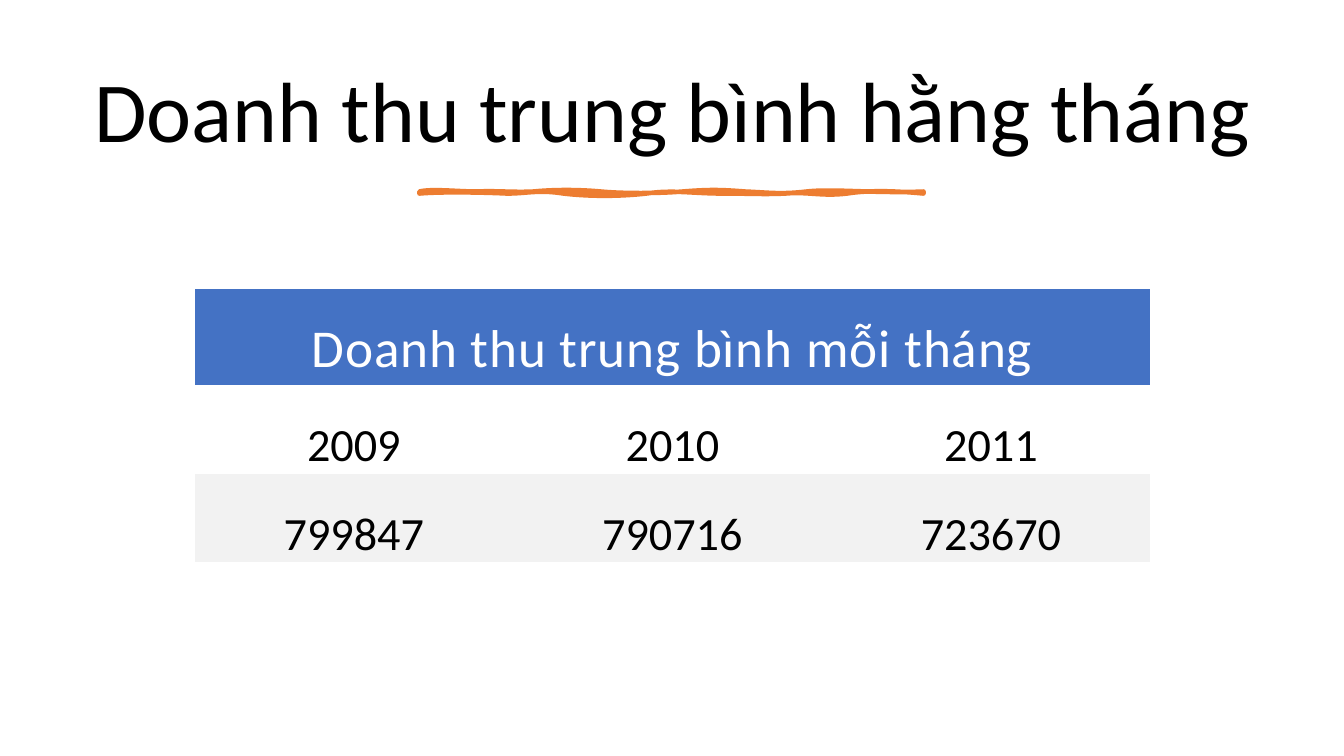
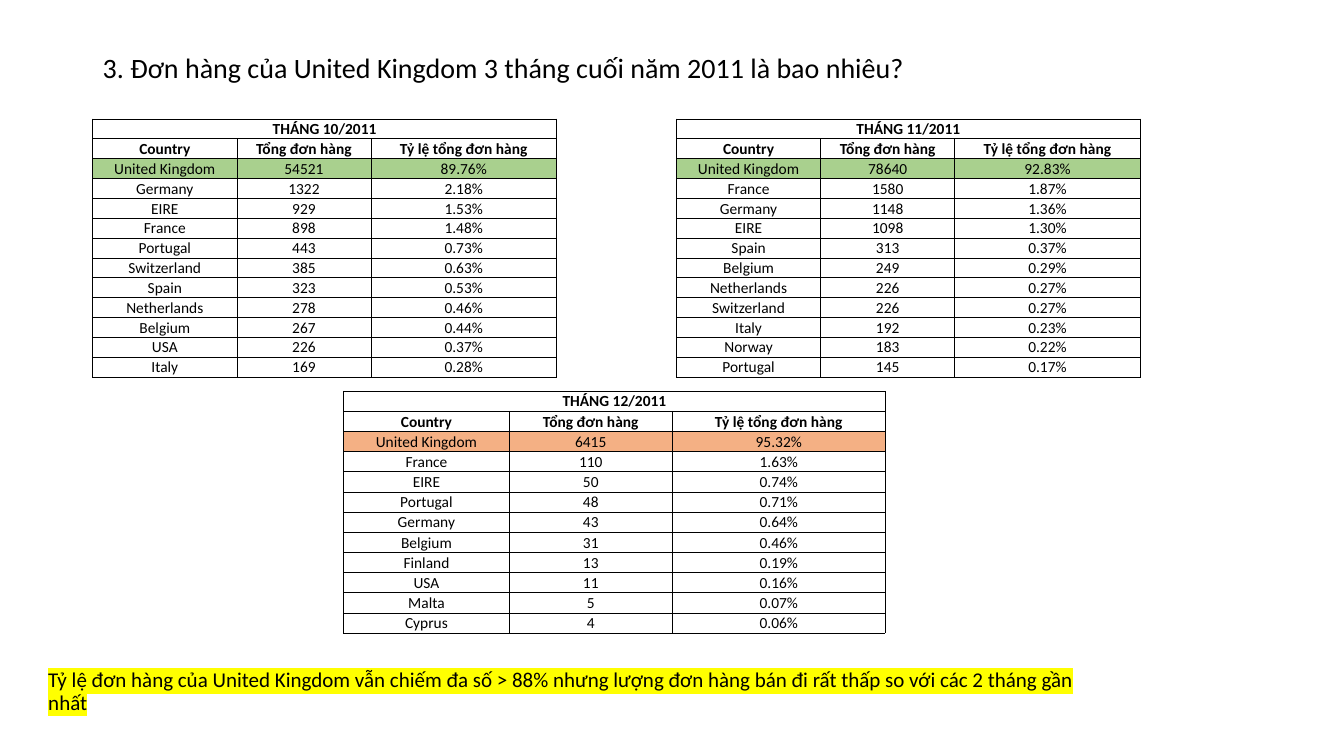
from lxml.etree import SubElement
from pptx import Presentation
from pptx.dml.color import RGBColor
from pptx.enum.text import MSO_ANCHOR, PP_ALIGN
from pptx.oxml.ns import qn
from pptx.util import Inches, Pt

FONT = "Calibri"
BLACK, WHITE, BLUE, ORANGE = "000000", "FFFFFF", "4472C4", "ED7D31"
GRAY, GREEN, PEACH, YELLOW = "F2F2F2", "A9D08E", "F4B084", "FFFF00"
PLAIN_TABLE = "{2D5ABB26-0587-4C30-8999-92F81FD0307C}"


def color(value):
    return RGBColor.from_string(value)


def write(frame, text, size, ink=BLACK, bold=False, align=PP_ALIGN.CENTER):
    frame.text = text
    para = frame.paragraphs[0]
    para.alignment = align
    span = para.runs[0]
    span.font.name = FONT
    span.font.size = Pt(size)
    span.font.bold = bold
    span.font.color.rgb = color(ink)
    return span


deck = Presentation()
deck.slide_width, deck.slide_height = Inches(13.33), Inches(7.5)
revenue_page, orders_page = [deck.slides.add_slide(deck.slide_layouts[6]) for _ in range(2)]

# Titles and closing remark
texts = [
    (revenue_page, (0.7, 0.45, 11.93, 1.37), "Doanh thu trung bình hằng tháng",
     61, PP_ALIGN.CENTER, None),
    (orders_page, (0.92, 0.4, 10.59, 0.58),
     "3. Đơn hàng của United Kingdom 3 tháng cuối năm 2011 là bao nhiêu?",
     20, PP_ALIGN.LEFT, None),
    (orders_page, (0.38, 6.58, 10.59, 0.58),
     "Tỷ lệ đơn hàng của United Kingdom vẫn chiếm đa số > 88% nhưng lượng đơn hàng "
     "bán đi rất thấp so với các 2 tháng gần nhất",
     15, PP_ALIGN.LEFT, YELLOW),
]
for page, place, text, size, align, marker in texts:
    box = page.shapes.add_textbox(*map(Inches, place))
    frame = box.text_frame
    frame.word_wrap = True
    frame.vertical_anchor = MSO_ANCHOR.MIDDLE
    span = write(frame, text, size, align=align)
    frame.paragraphs[0].line_spacing = 0.9
    if marker:
        properties = span.font._element
        highlight = SubElement(properties, qn("a:highlight"))
        SubElement(highlight, qn("a:srgbClr"), val=marker)
        properties.find(qn("a:solidFill")).addnext(highlight)

# Brush stroke under the revenue title: Bezier curves as (control, control, end)
stroke_left, stroke_top = 4.16, 1.9
stroke_curves = [
    ((4.28, 1.87), (4.54, 1.9), (4.73, 1.9)),
    ((4.92, 1.89), (5.09, 1.91), (5.29, 1.9)),
    ((5.49, 1.88), (5.74, 1.88), (5.96, 1.9)),
    ((6.17, 1.92), (6.53, 1.92), (6.77, 1.9)),
    ((7.02, 1.88), (7.14, 1.88), (7.39, 1.9)),
    ((7.63, 1.91), (7.74, 1.93), (8, 1.9)),
    ((8.26, 1.87), (8.67, 1.92), (9.16, 1.9)),
    ((9.17, 1.91), (9.16, 1.91), (9.16, 1.92)),
    ((8.95, 1.9), (8.65, 1.88), (8.4, 1.92)),
    ((8.15, 1.95), (8.01, 1.9), (7.79, 1.92)),
    ((7.56, 1.93), (7.47, 1.92), (7.17, 1.92)),
    ((6.87, 1.92), (6.67, 1.88), (6.41, 1.92)),
    ((6.14, 1.95), (5.85, 1.95), (5.59, 1.92)),
    ((5.34, 1.88), (5.23, 1.92), (5.03, 1.92)),
    ((4.83, 1.91), (4.38, 1.9), (4.16, 1.92)),
    ((4.16, 1.91), (4.16, 1.9), (4.16, 1.9)),
]
builder = revenue_page.shapes.build_freeform(Inches(stroke_left), Inches(stroke_top))
builder.add_line_segments([(Inches(x), Inches(y)) for _, _, (x, y) in stroke_curves])
stroke = builder.convert_to_shape()
segments = list(stroke._element.iter(qn("a:lnTo")))
for segment, curve in zip(segments, stroke_curves):
    segment.tag = qn("a:cubicBezTo")
    segment.clear()
    for x, y in curve:
        SubElement(segment, qn("a:pt"), x=str(Inches(x) - Inches(stroke_left)),
                   y=str(Inches(y) - Inches(stroke_top)))
stroke.shadow.inherit = False
stroke.fill.solid()
stroke.fill.fore_color.rgb = color(ORANGE)
stroke.line.color.rgb = color(ORANGE)
stroke.line.width = Pt(3.25)

# Table contents
revenue = [("2009", "2010", "2011"), ("799847", "790716", "723670")]
heads = ("Country", "Tổng đơn hàng", "Tỷ lệ tổng đơn hàng")
october = [
    ("United Kingdom", "54521", "89.76%"),
    ("Germany", "1322", "2.18%"),
    ("EIRE", "929", "1.53%"),
    ("France", "898", "1.48%"),
    ("Portugal", "443", "0.73%"),
    ("Switzerland", "385", "0.63%"),
    ("Spain", "323", "0.53%"),
    ("Netherlands", "278", "0.46%"),
    ("Belgium", "267", "0.44%"),
    ("USA", "226", "0.37%"),
    ("Italy", "169", "0.28%"),
]
november = [
    ("United Kingdom", "78640", "92.83%"),
    ("France", "1580", "1.87%"),
    ("Germany", "1148", "1.36%"),
    ("EIRE", "1098", "1.30%"),
    ("Spain", "313", "0.37%"),
    ("Belgium", "249", "0.29%"),
    ("Netherlands", "226", "0.27%"),
    ("Switzerland", "226", "0.27%"),
    ("Italy", "192", "0.23%"),
    ("Norway", "183", "0.22%"),
    ("Portugal", "145", "0.17%"),
]
december = [
    ("United Kingdom", "6415", "95.32%"),
    ("France", "110", "1.63%"),
    ("EIRE", "50", "0.74%"),
    ("Portugal", "48", "0.71%"),
    ("Germany", "43", "0.64%"),
    ("Belgium", "31", "0.46%"),
    ("Finland", "13", "0.19%"),
    ("USA", "11", "0.16%"),
    ("Malta", "5", "0.07%"),
    ("Cyprus", "4", "0.06%"),
]

# Tables: page, left, top, column widths, row height, caption, rows, fill by row
month_columns = (1.43, 1.33, 1.84)
month_row = 2.56 / 13
tables = [
    (revenue_page, 1.93, 2.87, (3.16,) * 3, 0.88, "Doanh thu trung bình mỗi tháng",
     revenue, {0: BLUE, 2: GRAY}),
    (orders_page, 0.92, 1.18, month_columns, month_row, "THÁNG 10/2011",
     [heads] + october, {2: GREEN}),
    (orders_page, 6.71, 1.18, month_columns, month_row, "THÁNG 11/2011",
     [heads] + november, {2: GREEN}),
    (orders_page, 3.41, 3.88, (1.64, 1.62, 2.11), 0.2, "THÁNG 12/2011",
     [heads] + december, {2: PEACH}),
]
for page, left, top, widths, height, caption, rows, fills in tables:
    is_revenue = page is revenue_page
    grid = [(caption, "", "")] + rows
    table = page.shapes.add_table(len(grid), len(widths), Inches(left), Inches(top),
                                  Inches(sum(widths)), Inches(height * len(grid))).table
    table.first_row = table.horz_banding = False
    table._tbl.tblPr.find(qn("a:tableStyleId")).text = PLAIN_TABLE
    for column, width in zip(table.columns, widths):
        column.width = Inches(width)
    for row in table.rows:
        row.height = Inches(height)
    if is_revenue:
        table.rows[0].height = Inches(0.95)
    table.cell(0, 0).merge(table.cell(0, len(widths) - 1))

    for r, values in enumerate(grid):
        for c, value in enumerate(values):
            cell = table.cell(r, c)
            side, above = (0.02, 0.24) if is_revenue else (0.01, 0.01)
            cell.margin_left = cell.margin_right = Inches(side)
            cell.margin_top, cell.margin_bottom = Inches(above), 0
            cell.vertical_anchor = (MSO_ANCHOR.BOTTOM if is_revenue and r
                                    else MSO_ANCHOR.MIDDLE)
            if not is_revenue:
                for edge in ("a:lnL", "a:lnR", "a:lnT", "a:lnB"):
                    border = SubElement(cell._tc.tcPr, qn(edge), w=str(Pt(0.5)))
                    paint = SubElement(border, qn("a:solidFill"))
                    SubElement(paint, qn("a:srgbClr"), val=BLACK)
            if r in fills:
                cell.fill.solid()
                cell.fill.fore_color.rgb = color(fills[r])
            else:
                cell.fill.background()
            if not value:
                continue
            if not is_revenue:
                write(cell.text_frame, value, 11, bold=r < 2)
            elif r:
                write(cell.text_frame, value, 33)
            else:
                span = write(cell.text_frame, value, 38, WHITE)
                span.font._element.set("spc", "60")

deck.save("out.pptx")
